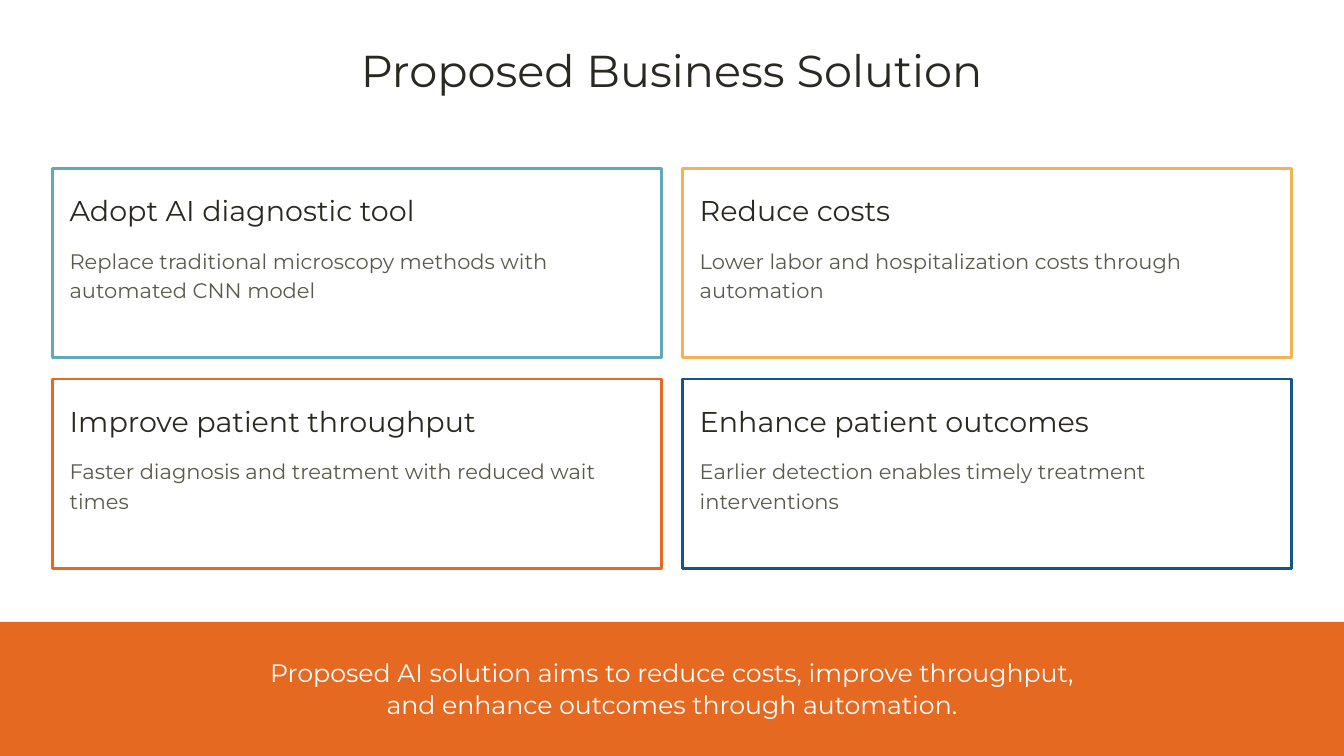
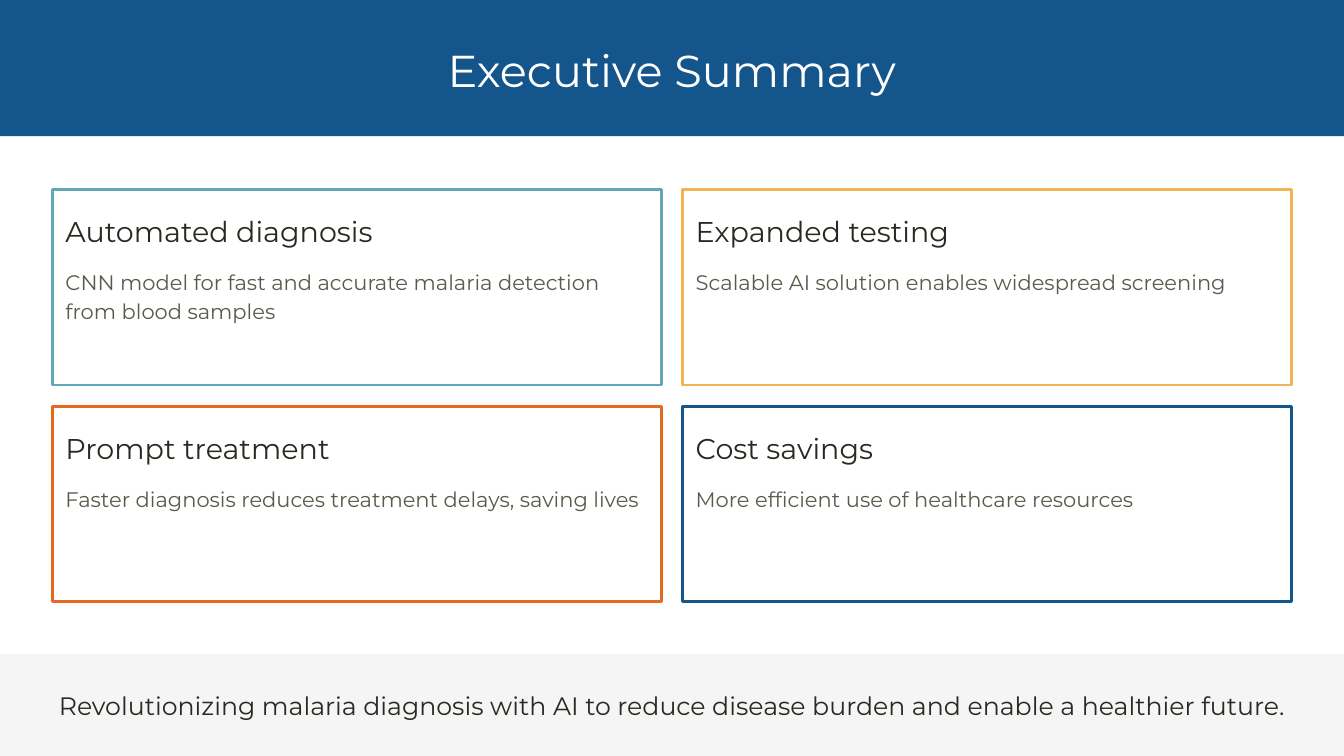
from pptx import Presentation
from pptx.dml.color import RGBColor
from pptx.enum.shapes import MSO_SHAPE
from pptx.enum.text import PP_ALIGN
from pptx.util import Inches, Pt

RECT = MSO_SHAPE.RECTANGLE
LEFT, CENTER = PP_ALIGN.LEFT, PP_ALIGN.CENTER

WIDE, HIGH = 13.33, 7.5
INK, GREY, WHITE, PALE = "2A2921", "5A5A4C", "FFFFFF", "F5F5F5"
TEAL, GOLD, ORANGE, BLUE = "62A8BB", "F0B356", "E66922", "14558C"

# Text styles: size and line pitch in points
TITLE, HEAD, BODY, NOTE = (31.9, 40.2), (20.4, 25.7), (15, 21), (18, 22.7)

# Card grid, in inches
EDGE, GAP, CARD = 0.52, 0.21, 6.04


def color(code):
    return RGBColor.from_string(code)


class Deck:
    font = "Montserrat"

    def __init__(self):
        self.prs = Presentation()
        self.prs.slide_width = Inches(WIDE)
        self.prs.slide_height = Inches(HIGH)
        self.slide = None

    def start(self):
        self.slide = self.prs.slides.add_slide(self.prs.slide_layouts[6])

    def rect(self, x, y, w, h, fill=None, line=None):
        box = self.slide.shapes.add_shape(
            RECT, Inches(x), Inches(y), Inches(w), Inches(h))
        box.shadow.inherit = False
        if fill:
            box.fill.solid()
            box.fill.fore_color.rgb = color(fill)
        else:
            box.fill.background()
        if line:
            box.line.color.rgb = color(line)
            box.line.width = Pt(2)
        else:
            box.line.fill.background()

    def text(self, x, y, w, h, words, style, ink, align=LEFT):
        size, pitch = style
        box = self.slide.shapes.add_textbox(
            Inches(x), Inches(y), Inches(w), Inches(h))
        frame = box.text_frame
        frame.word_wrap = True
        frame.margin_left = frame.margin_right = 0
        frame.margin_top = frame.margin_bottom = 0
        para = frame.paragraphs[0]
        para.alignment = align
        para.line_spacing = Pt(pitch)
        run = para.add_run()
        run.text = words
        run.font.name = self.font
        run.font.size = Pt(size)
        run.font.color.rgb = color(ink)

    def title(self, words, ink=INK, band=None):
        if band:
            self.rect(0, 0, WIDE, 1.35, fill=band)
        self.text(0, 0.4, WIDE, 0.56, words, TITLE, ink, CENTER)

    def cards(self, top, high, pad, items):
        for i, (line, head, body) in enumerate(items):
            row, col = divmod(i, 2)
            x = EDGE + col * (CARD + GAP)
            y = top + row * (high + GAP)
            wide = CARD - pad - 0.18
            self.rect(x, y, CARD, high, line=line)
            self.text(x + pad, y + 0.23, wide, 0.36, head, HEAD, INK)
            self.text(x + pad, y + 0.75, wide, 0.58, body, BODY, GREY)

    def footer(self, top, words, wide, fill, ink):
        high = HIGH - top
        self.rect(0, top, WIDE, high, fill=fill)
        self.text((WIDE - wide) / 2, top + 0.34, wide, high - 0.7,
                  words, NOTE, ink, CENTER)


def main():
    deck = Deck()

    # Proposed solution
    deck.start()
    deck.title("Proposed Business Solution")
    deck.cards(1.67, 1.88, 0.17, [
        (TEAL, "Adopt AI diagnostic tool",
         "Replace traditional microscopy methods with automated CNN model"),
        (GOLD, "Reduce costs",
         "Lower labor and hospitalization costs through automation"),
        (ORANGE, "Improve patient throughput",
         "Faster diagnosis and treatment with reduced wait times"),
        (BLUE, "Enhance patient outcomes",
         "Earlier detection enables timely treatment interventions"),
    ])
    deck.footer(6.17, "Proposed AI solution aims to reduce costs, improve "
                "throughput, and enhance outcomes through automation.",
                8.15, ORANGE, WHITE)

    # Executive summary
    deck.start()
    deck.title("Executive Summary", WHITE, BLUE)
    deck.cards(1.88, 1.94, 0.13, [
        (TEAL, "Automated diagnosis",
         "CNN model for fast and accurate malaria detection "
         "from blood samples"),
        (GOLD, "Expanded testing",
         "Scalable AI solution enables widespread screening"),
        (ORANGE, "Prompt treatment",
         "Faster diagnosis reduces treatment delays, saving lives"),
        (BLUE, "Cost savings",
         "More efficient use of healthcare resources"),
    ])
    deck.footer(6.49, "Revolutionizing malaria diagnosis with AI to reduce "
                "disease burden and enable a healthier future.",
                WIDE, PALE, INK)

    deck.prs.save("out.pptx")


if __name__ == "__main__":
    main()
